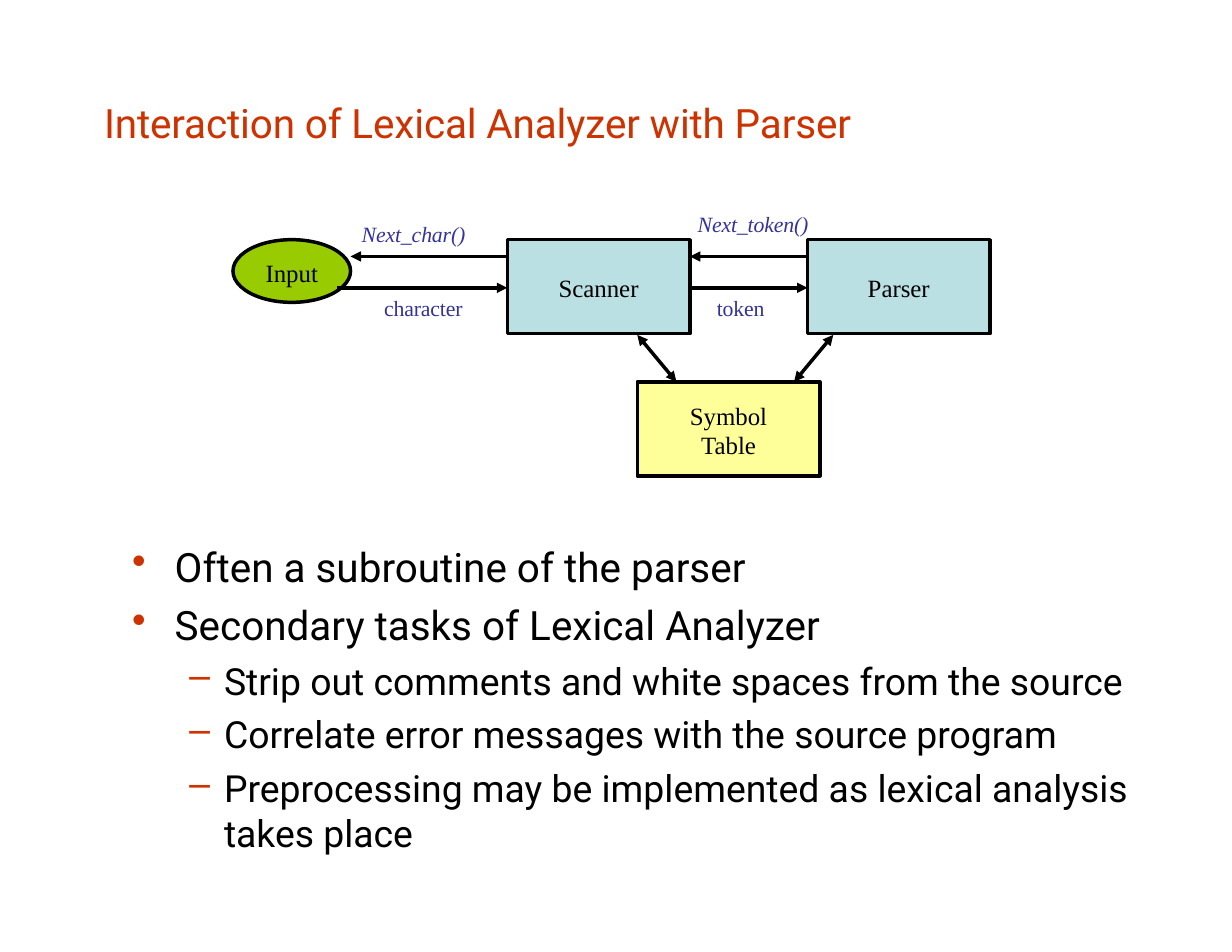
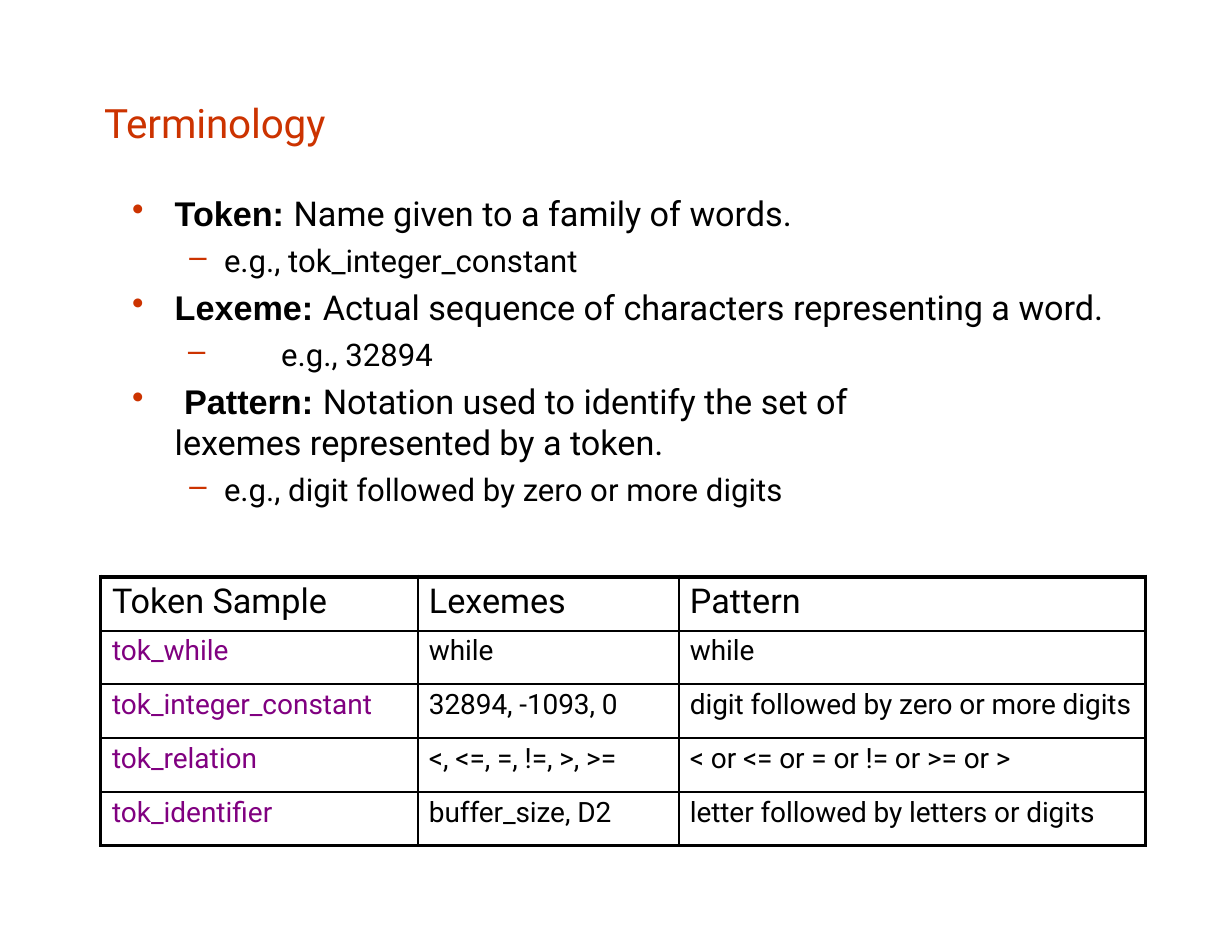
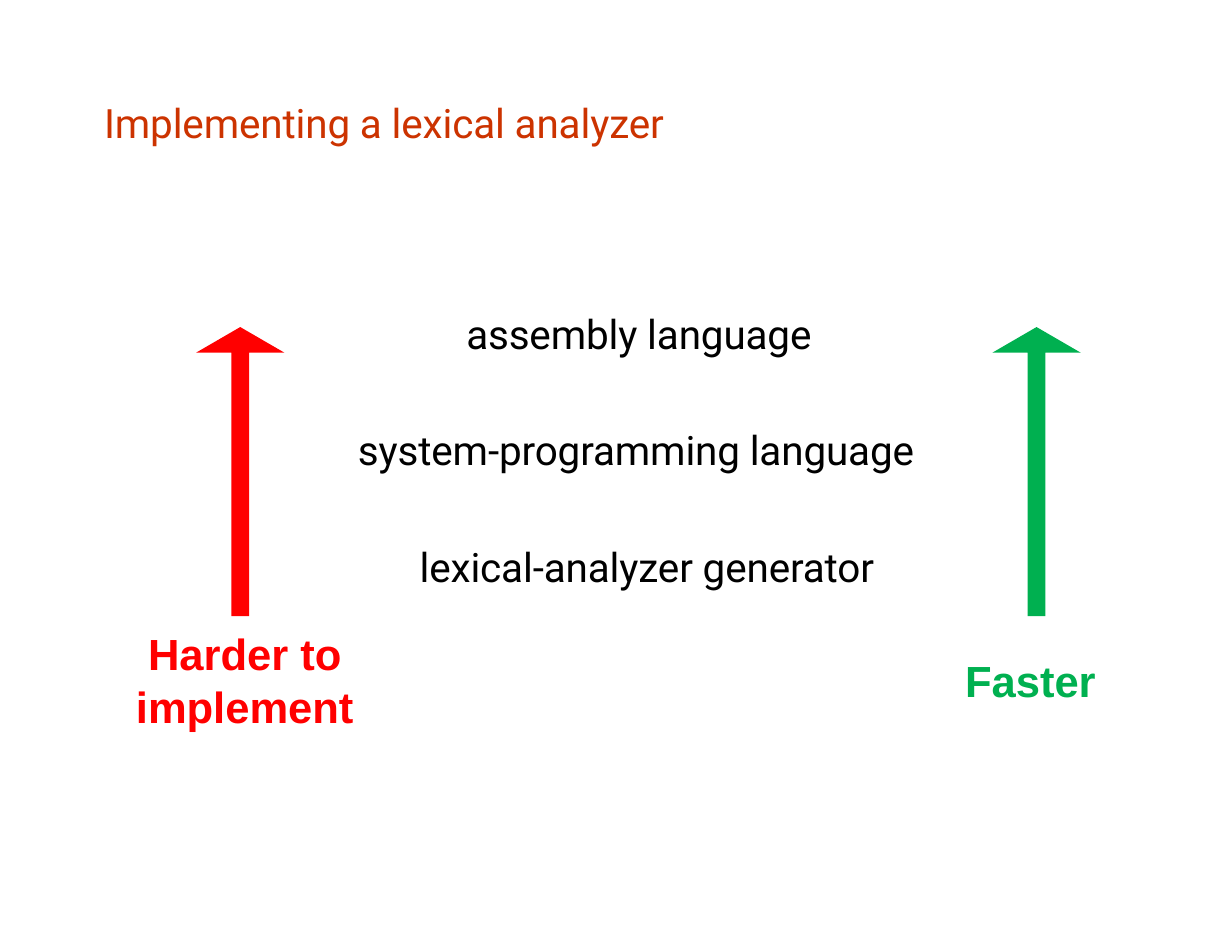
from lxml.etree import SubElement
from pptx import Presentation
from pptx.dml.color import RGBColor
from pptx.enum.shapes import MSO_CONNECTOR, MSO_SHAPE
from pptx.enum.text import MSO_ANCHOR, PP_ALIGN
from pptx.oxml.ns import qn
from pptx.util import Inches, Pt

# Shared colours and text styles
BLACK, ACCENT, LABEL_BLUE, PURPLE = "000000", "CC3300", "33339A", "800080"
RED, GREEN = "FF0000", "00B050"
LINE_WIDTH = 2.25


def style(name, size, color=BLACK, spacing=0, bold=False, italic=False, **layout):
    return {"font": {"name": name, "size": Pt(size), "bold": bold, "italic": italic},
            "color": color, "spacing": spacing, **layout}


def bullet(size, before, sign, margin, indent, level=0):
    return style("Roboto", size, paragraph={"space_before": Pt(before), "level": level},
                 margin=margin, indent=indent, bullet=sign)


def centred(name, size, color=BLACK, spacing=0, bold=False, margin=0, **paragraph):
    return style(name, size, color, spacing, bold, margin=margin,
                 paragraph={"alignment": PP_ALIGN.CENTER, **paragraph})


STYLES = {
    "title": style("Roboto", 26, ACCENT, -0.1, margin=0.01),
    "point": bullet(26, 6.3, "•", 0.39, -0.38),
    "subpoint": bullet(24, 5.7, "–", 0.83, -0.31, 1),
    "term": bullet(22, 5.2, "•", 0.39, -0.38),
    "example": bullet(20, 4.8, "–", 0.83, -0.31, 1),
    "wide example": bullet(20, 4.8, "–", 1.34, -0.83, 1),
    "lead": style("Arial", 22, bold=True),
    "node": centred("Times New Roman", 16),
    "call": style("Times New Roman", 14, LABEL_BLUE, -0.1, italic=True, margin=0.01),
    "reply": style("Times New Roman", 14, LABEL_BLUE, -0.1, margin=0.01),
    "header": style("Roboto", 22, paragraph={"space_before": Pt(3)}),
    "token": style("Roboto", 18, PURPLE, paragraph={"space_before": Pt(3)}),
    "cell": style("Roboto", 18, spacing=-0.05, paragraph={"space_before": Pt(3)}),
    "first option": centred("Roboto", 26, spacing=-0.1, margin=0.06),
    "option": centred("Roboto", 26, spacing=-0.1, margin=0.01, line_spacing=2.4),
    "last option": centred("Roboto", 26, spacing=-0.1, margin=0.2, line_spacing=2.4),
    "harder": centred("Arial", 28, RED, bold=True),
    "faster": centred("Arial", 28, GREEN, bold=True),
}

# Slide 1: diagram and notes
INTERACTION_TITLE = ("Interaction of Lexical Analyzer with Parser", 6.76)
BOX_SIZE = (1.63, 0.84)
NODES = [  # text, shape, position, size, fill
    ("Input", MSO_SHAPE.OVAL, (2.08, 2.14), (1.05, 0.56), "99CC00"),
    ("Scanner", MSO_SHAPE.RECTANGLE, (4.53, 2.14), BOX_SIZE, "BBE0E3"),
    ("Parser", MSO_SHAPE.RECTANGLE, (7.21, 2.14), BOX_SIZE, "BBE0E3"),
    ("Symbol\nTable", MSO_SHAPE.RECTANGLE, (5.69, 3.41), BOX_SIZE, "FFFF99"),
]
CALL_Y, REPLY_Y = 2.29, 2.57
BOX_BOTTOM, SYMBOL_TOP = 2.99, 3.41
ARROWS = [  # start, end, double-headed
    ((4.53, CALL_Y), (3.13, CALL_Y), False),
    ((3.01, REPLY_Y), (4.53, REPLY_Y), False),
    ((7.21, CALL_Y), (6.16, CALL_Y), False),
    ((6.16, REPLY_Y), (7.21, REPLY_Y), False),
    ((5.69, BOX_BOTTOM), (6.04, SYMBOL_TOP), True),
    ((7.44, BOX_BOTTOM), (7.09, SYMBOL_TOP), True),
]
ARROW_LABELS = [
    ("call", "Next_char()", (3.22, 1.95, 0.97, 0.26)),
    ("reply", "character", (3.42, 2.61, 0.74, 0.26)),
    ("reply", "token", (6.39, 2.61, 0.46, 0.26)),
    ("call", "Next_token()", (6.22, 1.86, 1.03, 0.26)),
]
TASKS = [
    ("point", "Often a subroutine of the parser"),
    ("point", "Secondary tasks of Lexical Analyzer"),
    ("subpoint", "Strip out comments and white spaces from the source"),
    ("subpoint", "Correlate error messages with the source program"),
    ("subpoint", "Preprocessing may be implemented as lexical analysis takes place"),
]

# Slide 2: definitions (style, text, bold lead-in) and token table
TERMINOLOGY_TITLE = ("Terminology", 2.02)
DEFINITIONS = [
    ("term", "Name given to a family of words.", "Token: "),
    ("example", "e.g., tok_integer_constant"),
    ("term", "Actual sequence of characters representing a word.", "Lexeme: "),
    ("wide example", "e.g., 32894"),
    ("term", "Notation used to identify the set of\nlexemes represented by a token.",
     " Pattern: "),
    ("example", "e.g., digit followed by zero or more digits"),
]
TOKEN_ROWS = [
    ("Token Sample", "Lexemes", "Pattern"),
    ("tok_while", "while", "while"),
    ("tok_integer_constant", "32894, -1093, 0", "digit followed by zero or more digits"),
    ("tok_relation", "<, <=, =, !=, >, >=", "< or <= or = or != or >= or >"),
    ("tok_identifier", "buffer_size, D2", "letter followed by letters or digits"),
]
COLUMN_WIDTHS, ROW_HEIGHT = (2.83, 2.33, 4.17), 0.48

# Slide 3: implementation options between two arrows
IMPLEMENTING_TITLE = ("Implementing a lexical analyzer", 5.07)
OPTIONS = [
    ("first option", "assembly language"),
    ("option", "system-programming language"),
    ("last option", "lexical-analyzer generator"),
]
SCALES = [  # style, text, text box, arrow left
    ("harder", "Harder to\nimplement", (1.2, 5.58, 1.97, 0.96), 1.75),
    ("faster", "Faster", (8.6, 5.82, 1.2, 0.5), 8.86),
]


# Helpers
def color(value):
    return RGBColor.from_string(value)


def inches(*values):
    return [Inches(value) for value in values]


def set_all(target, values):
    for name, value in values.items():
        setattr(target, name, value)


def add_runs(paragraph, text, look):
    for number, line in enumerate(text.split("\n")):
        if number:
            paragraph.add_line_break()
        run = paragraph.add_run()
        run.text = line
        set_all(run.font, look["font"])
        run.font.color.rgb = color(look["color"])
        if look["spacing"]:
            run.font._element.set("spc", str(round(look["spacing"] * 100)))


def write(text_frame, paragraphs):
    for number, (style_name, text, *lead) in enumerate(paragraphs):
        look = STYLES[style_name]
        paragraph = text_frame.add_paragraph() if number else text_frame.paragraphs[0]
        set_all(paragraph, look.get("paragraph", {}))
        properties = paragraph._p.get_or_add_pPr()
        properties.set("marL", str(Inches(look.get("margin", 0))))
        properties.set("indent", str(Inches(look.get("indent", 0))))
        if "bullet" in look:
            bullet_color = SubElement(properties, qn("a:buClr"))
            SubElement(bullet_color, qn("a:srgbClr"), val=ACCENT)
            SubElement(properties, qn("a:buChar"), char=look["bullet"])
        for lead_text in lead:
            add_runs(paragraph, lead_text, STYLES["lead"])
        add_runs(paragraph, text, look)


def set_frame(text_frame, top=0.02, anchor=MSO_ANCHOR.TOP):
    set_all(text_frame, {"word_wrap": True, "vertical_anchor": anchor,
                         "margin_left": 0, "margin_right": 0,
                         "margin_top": Inches(top), "margin_bottom": 0})


def add_text(slide, box, paragraphs, top=0.02):
    text_frame = slide.shapes.add_textbox(*inches(*box)).text_frame
    set_frame(text_frame, top)
    write(text_frame, paragraphs)


def add_slide(presentation, title, width):
    slide = presentation.slides.add_slide(presentation.slide_layouts[6])
    add_text(slide, (0.92, 0.86, width, 0.46), [("title", title)])
    return slide


def add_filled_shape(slide, kind, box, fill):
    shape = slide.shapes.add_shape(kind, *inches(*box))
    shape.shadow.inherit = False
    shape.fill.solid()
    shape.fill.fore_color.rgb = color(fill)
    shape.line.fill.background()
    return shape


def add_node(slide, text, kind, position, size, fill):
    shape = add_filled_shape(slide, kind, position + size, fill)
    shape.line.color.rgb = color(BLACK)
    shape.line.width = Pt(LINE_WIDTH)
    set_frame(shape.text_frame, anchor=MSO_ANCHOR.MIDDLE)
    write(shape.text_frame, [("node", text)])


def add_arrow(slide, start, end, double):
    connector = slide.shapes.add_connector(MSO_CONNECTOR.STRAIGHT, *inches(*start, *end))
    connector.line.color.rgb = color(BLACK)
    connector.line.width = Pt(LINE_WIDTH)
    line = connector.line._get_or_add_ln()
    for tag in ("a:headEnd", "a:tailEnd") if double else ("a:tailEnd",):
        SubElement(line, qn(tag), type="triangle")
    SubElement(connector._element.spPr, qn("a:effectLst"))


def set_borders(cell, widths):
    properties = cell._tc.get_or_add_tcPr()
    for number, (side, width) in enumerate(widths.items()):
        line = SubElement(properties, qn(f"a:ln{side}"), w=str(Pt(width)))
        fill = SubElement(line, qn("a:solidFill"))
        SubElement(fill, qn("a:srgbClr"), val=BLACK)
        properties.insert(number, line)


def add_token_table(slide):
    row_count, column_count = len(TOKEN_ROWS), len(COLUMN_WIDTHS)
    table = slide.shapes.add_table(
        row_count, column_count,
        *inches(0.9, 5.15, sum(COLUMN_WIDTHS), ROW_HEIGHT * row_count)).table
    for column, width in zip(table.columns, COLUMN_WIDTHS):
        column.width = Inches(width)
    for row_number, texts in enumerate(TOKEN_ROWS):
        table.rows[row_number].height = Inches(ROW_HEIGHT)
        for column_number, text in enumerate(texts):
            cell = table.cell(row_number, column_number)
            cell.fill.background()
            set_all(cell, {"margin_left": Inches(0.1), "margin_right": 0,
                           "margin_top": Inches(0.04), "margin_bottom": 0})
            kind = "header" if row_number == 0 else "cell" if column_number else "token"
            write(cell.text_frame, [(kind, text)])
            set_borders(cell, {
                "L": 1.5 if column_number else 2.25,
                "R": 2.25 if column_number == column_count - 1 else 1.5,
                "T": 1.5 if row_number else 3,
                "B": 2.25 if row_number == row_count - 1 else 1.5,
            })


# Slides
def build_interaction(presentation):
    slide = add_slide(presentation, *INTERACTION_TITLE)
    add_text(slide, (1.17, 4.73, 8.92, 2.91), TASKS, 0.11)
    for node in NODES:
        add_node(slide, *node)
    for arrow in ARROWS:
        add_arrow(slide, *arrow)
    for style_name, text, box in ARROW_LABELS:
        add_text(slide, box, [(style_name, text)])


def build_terminology(presentation):
    slide = add_slide(presentation, *TERMINOLOGY_TITLE)
    add_text(slide, (1.17, 1.62, 8.72, 2.91), DEFINITIONS, 0.1)
    add_token_table(slide)


def build_implementing(presentation):
    slide = add_slide(presentation, *IMPLEMENTING_TITLE)
    add_text(slide, (3.17, 2.74, 5.01, 2.37), OPTIONS)
    for style_name, text, box, arrow_left in SCALES:
        arrow = add_filled_shape(slide, MSO_SHAPE.UP_ARROW, (arrow_left, 2.92, 0.79, 2.58),
                                 STYLES[style_name]["color"])
        arrow.adjustments[0], arrow.adjustments[1] = 0.2, 0.29
        add_text(slide, box, [(style_name, text)])


def main():
    presentation = Presentation()
    presentation.slide_width, presentation.slide_height = inches(11, 8.5)
    for build in (build_interaction, build_terminology, build_implementing):
        build(presentation)
    presentation.save("out.pptx")


if __name__ == "__main__":
    main()
